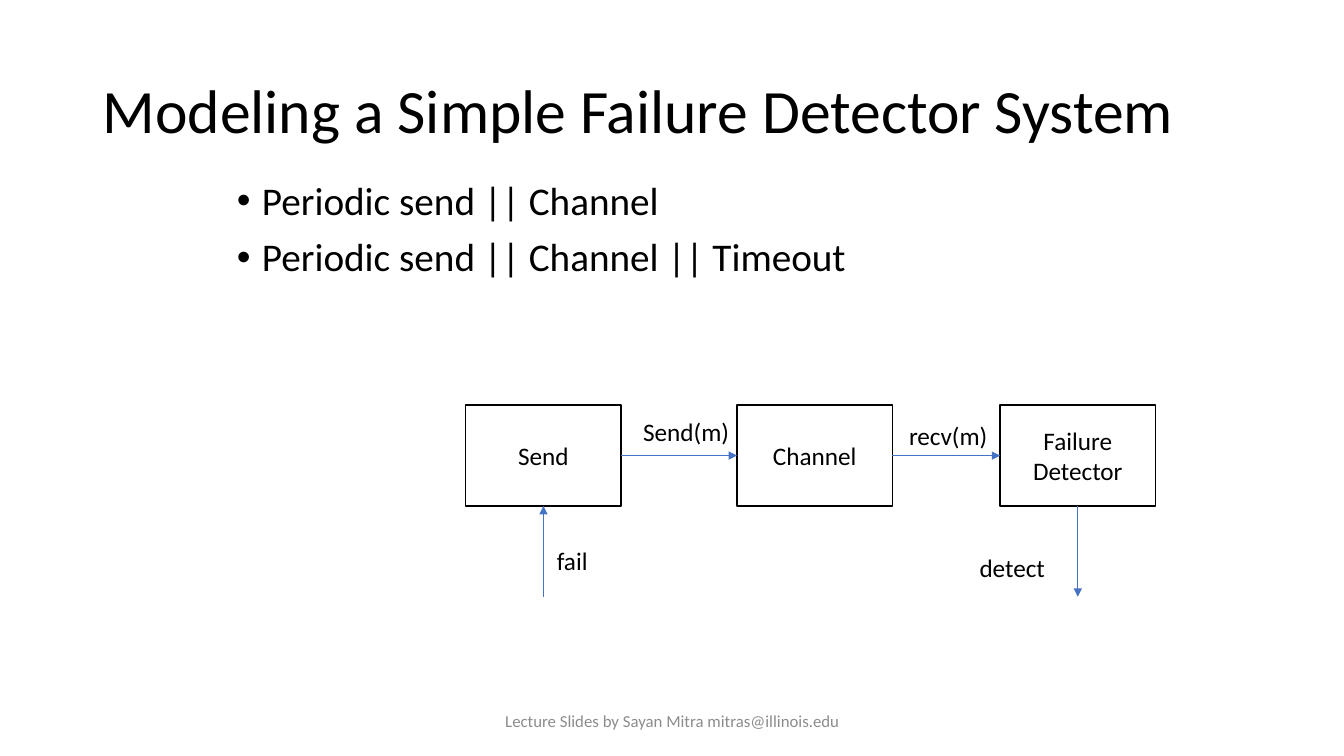
from lxml.etree import SubElement
from pptx import Presentation
from pptx.dml.color import RGBColor
from pptx.enum.shapes import MSO_CONNECTOR, MSO_SHAPE
from pptx.enum.text import MSO_ANCHOR, MSO_AUTO_SIZE, PP_ALIGN
from pptx.oxml.ns import qn
from pptx.util import Inches, Pt

BLACK = RGBColor(0, 0, 0)
WHITE = RGBColor(255, 255, 255)
GREY = RGBColor(0x8C, 0x8C, 0x8C)
BLUE = RGBColor(0x44, 0x72, 0xC4)
TOP, LEFT, BOTTOM, RIGHT = range(4)


def style_text(para, text, size, color=BLACK, **formats):
    """Write one run and apply font and paragraph formats."""
    span = para.add_run()
    span.text = text
    for name, value in {"name": "Calibri", "size": Pt(size)}.items():
        setattr(span.font, name, value)
    span.font.color.rgb = color
    for name, value in formats.items():
        setattr(para, name, value)


def add_text(page, box, text, size, color=BLACK, anchor=MSO_ANCHOR.MIDDLE, **formats):
    """Place a wrapping text box with one paragraph and return its frame."""
    frame = page.shapes.add_textbox(*map(Inches, box)).text_frame
    frame.word_wrap = True
    frame.vertical_anchor = anchor
    style_text(frame.paragraphs[0], text, size, color, **formats)
    return frame


def add_bullets(page, box, items):
    """Place a bulleted list in the given box."""
    frame = page.shapes.add_textbox(*map(Inches, box)).text_frame
    frame.word_wrap = True
    for index, item in enumerate(items):
        para = frame.add_paragraph() if index else frame.paragraphs[0]
        properties = para._p.get_or_add_pPr()
        properties.set("marL", str(Inches(0.25)))
        properties.set("indent", str(-Inches(0.25)))
        SubElement(properties, qn("a:buFont")).set("typeface", "Arial")
        SubElement(properties, qn("a:buChar")).set("char", "•")
        style_text(para, item, 28, line_spacing=0.9, space_before=Pt(10 if index else 0))


def add_component(page, box, name):
    """Draw one outlined component of the system."""
    shape = page.shapes.add_shape(MSO_SHAPE.RECTANGLE, *map(Inches, box))
    shape.shadow.inherit = False
    shape.fill.solid()
    shape.fill.fore_color.rgb = WHITE
    shape.line.color.rgb = BLACK
    shape.line.width = Pt(1)
    shape.text_frame.vertical_anchor = MSO_ANCHOR.MIDDLE
    style_text(shape.text_frame.paragraphs[0], name, 18, alignment=PP_ALIGN.CENTER)
    return shape


def add_arrow(page, start, end, source=None, target=None):
    """Draw an arrow, joined to (shape, side) pairs where they are given."""
    arrow = page.shapes.add_connector(MSO_CONNECTOR.STRAIGHT, *map(Inches, start + end))
    if source:
        arrow.begin_connect(*source)
    if target:
        arrow.end_connect(*target)
    arrow.line.color.rgb = BLUE
    arrow.line.width = Pt(0.5)
    SubElement(arrow.line._get_or_add_ln(), qn("a:tailEnd")).set("type", "triangle")
    SubElement(arrow._element.spPr, qn("a:effectLst"))


def add_label(page, box, text):
    """Place an unwrapped action label."""
    frame = add_text(page, box, text, 18, anchor=MSO_ANCHOR.TOP, alignment=PP_ALIGN.CENTER)
    frame.word_wrap = False
    frame.auto_size = MSO_AUTO_SIZE.SHAPE_TO_FIT_TEXT


def add_system(page, box):
    """Draw the chain of components with its actions inside the box."""
    left, top, width, height = box
    part_width, part_height = 1.54, 1
    middle, base, end = top + part_height / 2, top + part_height, top + height
    offsets = {"Send": 0, "Channel": 2.69, "Failure Detector": width - part_width}
    parts = [add_component(page, (left + offset, top, part_width, part_height), name)
             for name, offset in offsets.items()]
    starts = [left + offset for offset in offsets.values()]
    for index in range(len(parts) - 1):
        add_arrow(page, (starts[index] + part_width, middle), (starts[index + 1], middle),
                  (parts[index], RIGHT), (parts[index + 1], LEFT))
    first, last = starts[0] + part_width / 2, starts[-1] + part_width / 2
    add_arrow(page, (first, end), (first, base), target=(parts[0], BOTTOM))
    add_arrow(page, (last, base), (last, end), source=(parts[-1], BOTTOM))
    labels = {"Send(m)": (1.65, 0.06, 1.07), "recv(m)": (4.29, 0.1, 0.99),
              "fail": (0.8, 1.34, 0.51), "detect": (4.99, 1.41, 0.86)}
    for text, (across, down, label_width) in labels.items():
        add_label(page, (left + across, top + down, label_width, 0.4), text)


def main():
    """Build and save the slide."""
    deck = Presentation()
    deck.slide_width, deck.slide_height = Inches(13.33), Inches(7.5)
    page = deck.slides.add_slide(deck.slide_layouts[6])
    add_text(page, (0.92, 0.4, 11.5, 1.45), "Modeling a Simple Failure Detector System",
             44, line_spacing=0.9)
    add_bullets(page, (2.25, 1.75, 6.58, 4.95),
                ["Periodic send || Channel", "Periodic send || Channel || Timeout"])
    add_text(page, (4.42, 6.95, 4.5, 0.4), "Lecture Slides by Sayan Mitra mitras@illinois.edu",
             12, GREY, alignment=PP_ALIGN.CENTER)
    add_system(page, (4.62, 4.02, 6.84, 1.9))
    deck.save("out.pptx")


if __name__ == "__main__":
    main()
